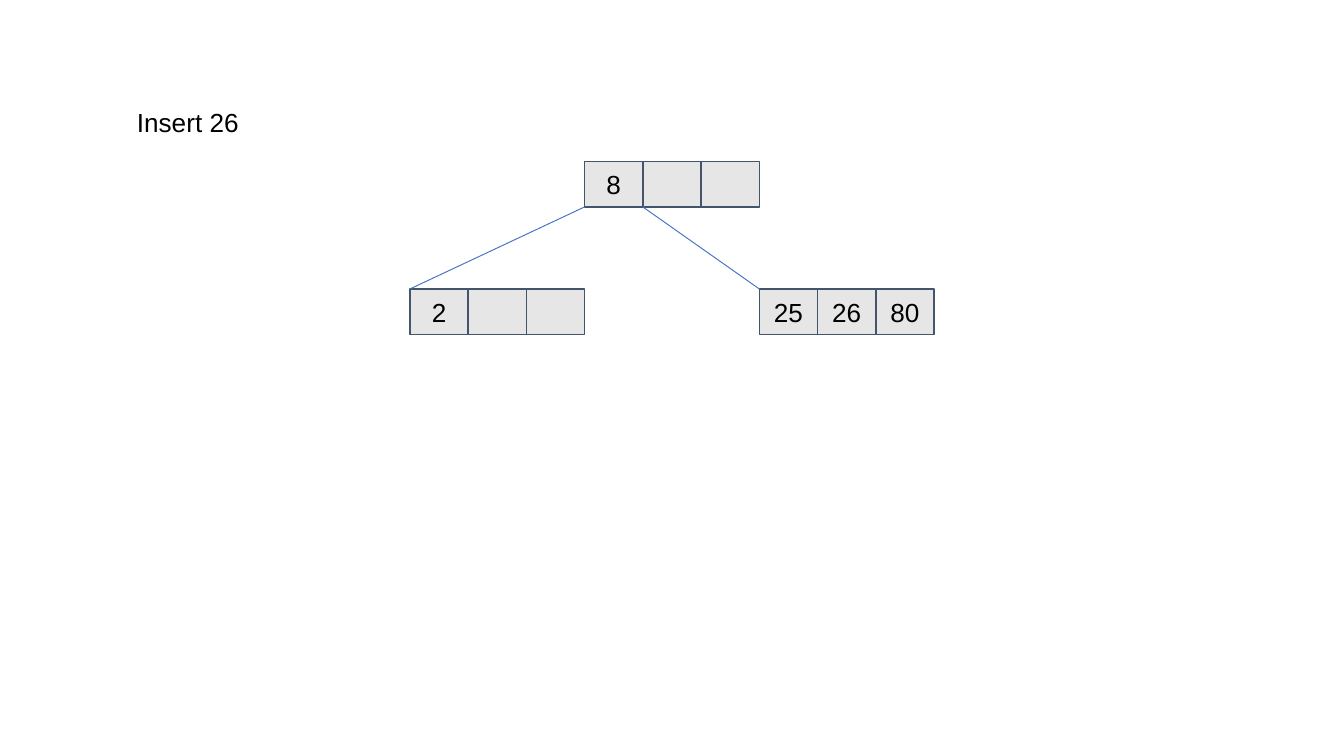
from dataclasses import dataclass

from lxml.etree import SubElement
from pptx import Presentation
from pptx.dml.color import RGBColor
from pptx.enum.shapes import MSO_CONNECTOR, MSO_SHAPE
from pptx.enum.text import MSO_ANCHOR, MSO_AUTO_SIZE, PP_ALIGN
from pptx.oxml.ns import qn
from pptx.slide import Slide
from pptx.text.text import TextFrame
from pptx.util import Inches, Pt


@dataclass(frozen=True)
class Theme:
    font: str = "Arial"
    text_size: float = 14
    text: RGBColor = RGBColor(0x00, 0x00, 0x00)
    cell_fill: RGBColor = RGBColor(0xE7, 0xE6, 0xE6)
    cell_line: RGBColor = RGBColor(0x44, 0x54, 0x6A)
    branch: RGBColor = RGBColor(0x44, 0x72, 0xC4)
    cell_line_width: float = 0.75
    branch_width: float = 0.5


@dataclass(frozen=True)
class Node:
    left: float
    top: float
    keys: tuple[str, ...]


@dataclass(frozen=True)
class Branch:
    parent: Node
    slot: int
    child: Node


THEME = Theme()
SLIDE_WIDTH = 10
SLIDE_HEIGHT = SLIDE_WIDTH * 9 / 16
SLOTS = 3
NODE_WIDTH = 1.3
CELL_WIDTH = NODE_WIDTH / SLOTS
CELL_HEIGHT = 0.34
CELL_INSET = 0.1
ROOT_LEFT, ROOT_TOP, LEAF_TOP = 4.35, 1.2, 2.15

ROOT = Node(ROOT_LEFT, ROOT_TOP, ("8",))
LEFT_LEAF = Node(ROOT_LEFT - NODE_WIDTH, LEAF_TOP, ("2",))
RIGHT_LEAF = Node(ROOT_LEFT + NODE_WIDTH, LEAF_TOP, ("25", "26", "80"))
NODES = (ROOT, LEFT_LEAF, RIGHT_LEAF)
BRANCHES = (Branch(ROOT, 0, LEFT_LEAF), Branch(ROOT, 1, RIGHT_LEAF))


def add_text(frame: TextFrame, text: str, alignment: PP_ALIGN) -> None:
    paragraph = frame.paragraphs[0]
    paragraph.alignment = alignment
    run = paragraph.add_run()
    run.text = text
    run.font.name = THEME.font
    run.font.size = Pt(THEME.text_size)
    run.font.color.rgb = THEME.text


def draw_cell(slide: Slide, left: float, top: float, key: str) -> None:
    shape = slide.shapes.add_shape(
        MSO_SHAPE.RECTANGLE,
        Inches(left), Inches(top), Inches(CELL_WIDTH), Inches(CELL_HEIGHT),
    )
    shape.shadow.inherit = False
    shape.fill.solid()
    shape.fill.fore_color.rgb = THEME.cell_fill
    shape.line.color.rgb = THEME.cell_line
    shape.line.width = Pt(THEME.cell_line_width)
    if key:
        frame = shape.text_frame
        frame.vertical_anchor = MSO_ANCHOR.MIDDLE
        frame.margin_left = frame.margin_right = Inches(CELL_INSET)
        frame.margin_top = frame.margin_bottom = Inches(CELL_INSET)
        add_text(frame, key, PP_ALIGN.CENTER)


def draw_node(slide: Slide, node: Node) -> None:
    for slot in range(SLOTS):
        key = node.keys[slot] if slot < len(node.keys) else ""
        draw_cell(slide, node.left + slot * CELL_WIDTH, node.top, key)


def draw_branch(slide: Slide, branch: Branch) -> None:
    connector = slide.shapes.add_connector(
        MSO_CONNECTOR.STRAIGHT,
        Inches(branch.parent.left + branch.slot * CELL_WIDTH),
        Inches(branch.parent.top + CELL_HEIGHT),
        Inches(branch.child.left),
        Inches(branch.child.top),
    )
    connector.line.color.rgb = THEME.branch
    connector.line.width = Pt(THEME.branch_width)
    SubElement(connector._element.spPr, qn("a:effectLst"))


def draw_caption(slide: Slide, text: str) -> None:
    caption = slide.shapes.add_textbox(
        Inches(0.92), Inches(0.74), Inches(0.96), Inches(0.34)
    )
    frame = caption.text_frame
    frame.word_wrap = False
    frame.auto_size = MSO_AUTO_SIZE.SHAPE_TO_FIT_TEXT
    add_text(frame, text, PP_ALIGN.LEFT)


def main() -> None:
    presentation = Presentation()
    presentation.slide_width = Inches(SLIDE_WIDTH)
    presentation.slide_height = Inches(SLIDE_HEIGHT)
    blank_layout = presentation.slide_layouts.get_by_name("Blank")
    slide = presentation.slides.add_slide(blank_layout)
    for node in NODES:
        draw_node(slide, node)
    for branch in BRANCHES:
        draw_branch(slide, branch)
    draw_caption(slide, "Insert 26")
    presentation.save("out.pptx")


if __name__ == "__main__":
    main()
